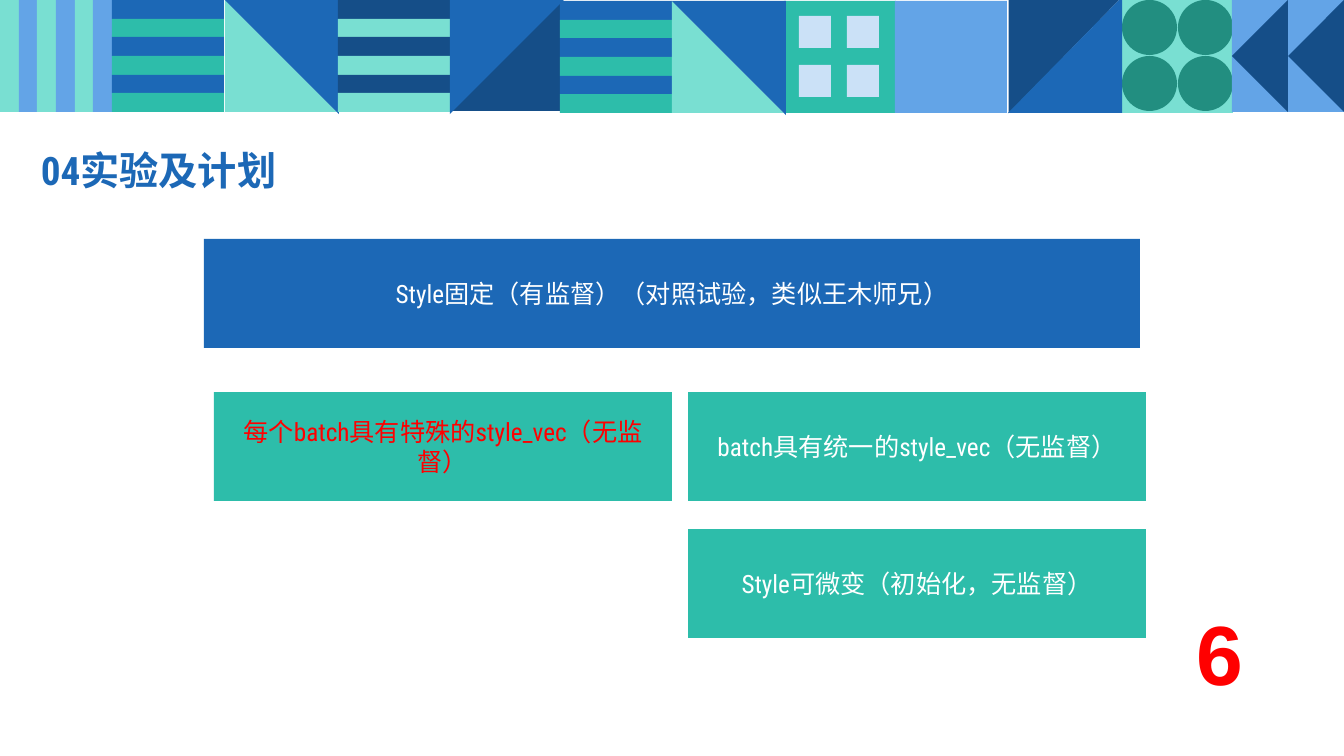
from pptx import Presentation
from pptx.dml.color import RGBColor
from pptx.enum.shapes import MSO_SHAPE as SHAPE
from pptx.enum.text import MSO_ANCHOR as ANCHOR, PP_ALIGN as ALIGN
from pptx.util import Emu, Pt

SCALE = 914400 / 100.8
TILE = 112
COLORS = {
    "blue": "1C68B6", "navy": "154E88", "sky": "63A4E7", "pale": "CBE1F7",
    "teal": "2DBDAA", "mint": "79DFD2", "green": "228E80",
    "red": "FF0000", "white": "FFFFFF",
}


def px(n):
    return Emu(round(n * SCALE))


def rgb(name):
    return RGBColor.from_string(COLORS[name])


class Deck:
    """Holds the text style and the current slide."""
    font = "Roboto Condensed"

    def __init__(self, s):
        self.s = s

    def shape(self, kind, x, y, w, h, color, rot=0):
        sp = self.s.shapes.add_shape(kind, px(x), px(y), px(w), px(h))
        sp.shadow.inherit = False
        sp.fill.solid()
        sp.fill.fore_color.rgb = rgb(color)
        sp.line.fill.background()
        sp.rotation = rot
        return sp

    def rect(self, x, y, w, h, color):
        return self.shape(SHAPE.RECTANGLE, x, y, w, h, color)

    def stripes(self, x, y, colors, upright=False):
        edges = [round(i * TILE / 6) for i in range(7)]
        for i, (a, b) in enumerate(zip(edges, edges[1:])):
            color = colors[i % 2]
            if upright:
                self.rect(x + a, y, b - a, TILE, color)
            else:
                self.rect(x, y + a, TILE, b - a, color)

    def corner(self, x, y, w, h, color, rot=0):
        self.shape(SHAPE.RIGHT_TRIANGLE, x, y, w, h, color, rot)

    def mint_diagonal(self, x, y):
        self.corner(x, y, TILE, TILE, "mint")
        self.corner(x, y, TILE + 2, TILE + 2, "blue", 180)

    def label(self, sp, text, size, color, align=ALIGN.CENTER, bold=False,
              font=None, spacing=None):
        tf = sp.text_frame
        tf.word_wrap = True
        tf.vertical_anchor = ANCHOR.MIDDLE
        p = tf.paragraphs[0]
        p.alignment = align
        if spacing:
            p.line_spacing = spacing
        r = p.add_run()
        r.text = text
        r.font.name = font or self.font
        r.font.size = Pt(size)
        r.font.bold = bold
        r.font.color.rgb = rgb(color)

    def text(self, x, y, w, h, *args, **style):
        sp = self.s.shapes.add_textbox(px(x), px(y), px(w), px(h))
        self.label(sp, *args, **style)

    def box(self, x, y, w, fill, text, color="white"):
        self.label(self.rect(x, y, w, 109, fill), text, 18, color)


prs = Presentation()
prs.slide_width, prs.slide_height = px(1344), px(756)
s = prs.slides.add_slide(prs.slide_layouts[6])
deck = Deck(s)

# Banner, left part
deck.stripes(0, 0, ("mint", "sky"), upright=True)
deck.stripes(112, 0, ("blue", "teal"))
deck.mint_diagonal(225, 0)
deck.stripes(338, 0, ("navy", "mint"))

# Banner, tile with four windows and plain tile
deck.rect(784, 1, TILE, TILE, "teal")
for x in (799, 847):
    for y in (16, 65):
        deck.rect(x, y, 32, 32, "pale")
deck.rect(895, 1, TILE, TILE, "sky")

# Banner, tile with four discs
deck.rect(1121, 0, TILE, 113, "mint")
for col in range(2):
    for row in range(2):
        deck.shape(SHAPE.OVAL, 1122 + 56 * col, 56 * row, 55, 55, "green")

# Banner, navy and blue diagonals
deck.corner(1007, 0, 115, TILE, "navy", 90)
deck.corner(1007, -2, 116, 114, "blue", 270)
deck.corner(451, -1, TILE, TILE, "navy", 270)
deck.corner(450, 0, 114, 114, "blue", 90)

# Banner, arrows pointing left
deck.rect(1232, 0, TILE, TILE, "sky")
for x in (1204, 1260):
    deck.shape(SHAPE.ISOSCELES_TRIANGLE, x, 28, TILE, 56, "navy", 270)

# Banner, middle part
deck.stripes(560, 1, ("blue", "teal"))
deck.mint_diagonal(672, 1)

# Title
deck.text(31, 141, 387, 63, "04实验及计划", 28, "blue",
          align=ALIGN.LEFT, bold=True, spacing=0.9)

# Experiment boxes
deck.box(204, 239, 936, "blue", "Style固定（有监督）（对照试验，类似王木师兄）")
deck.box(214, 392, 458, "teal", "每个batch具有特殊的style_vec（无监督）", "red")
deck.box(688, 392, 458, "teal", "batch具有统一的style_vec（无监督）")
deck.box(688, 529, 458, "teal", "Style可微变（初始化，无监督）")

# Page number
deck.text(1102, 643, 235, 30, "6", 60, "red", bold=True, font="Arial",
          spacing=0.9)

prs.save("out.pptx")
